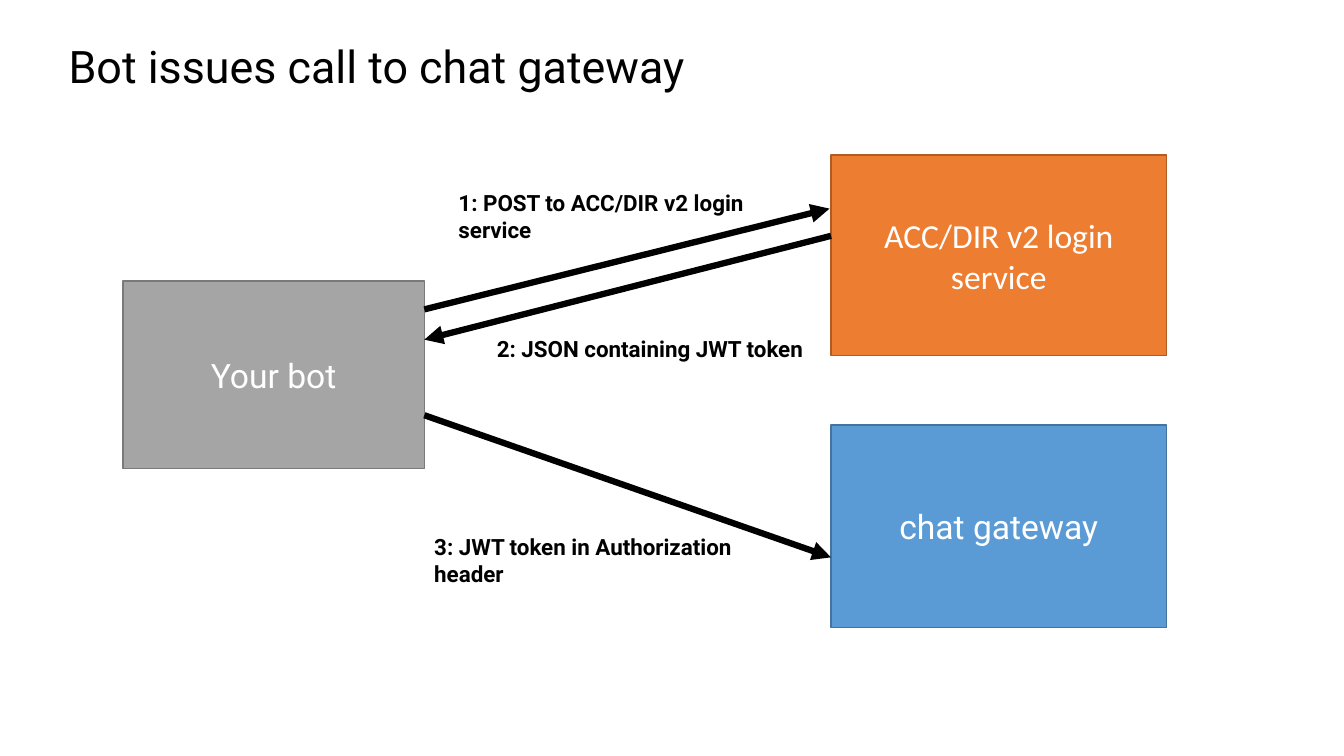
from pptx import Presentation, util as u
from pptx.dml.color import RGBColor
from pptx.enum import shapes, text
from pptx.oxml.ns import qn
from lxml import etree

BLACK = RGBColor(0x00, 0x00, 0x00)
WHITE = RGBColor(0xFF, 0xFF, 0xFF)
GREY, GREY_EDGE = RGBColor(0xA5, 0xA5, 0xA5), RGBColor(0x7A, 0x7A, 0x7A)
ORANGE, ORANGE_EDGE = RGBColor(0xED, 0x7D, 0x31), RGBColor(0xAF, 0x5C, 0x24)
BLUE, BLUE_EDGE = RGBColor(0x5B, 0x9B, 0xD5), RGBColor(0x43, 0x73, 0x9E)

# Boxes as percentages (left, top, width, height) of the slide
TITLE_BOX = (4.35, 1.73, 86.27, 14.8)
DIAGRAM_BOX = (9.15, 20.53, 77.7, 62.53)

# Diagram edges, as percentages of the diagram's width
BOT_RIGHT = 28.86
SERVICES_LEFT, SERVICES_WIDTH = 67.8, 32.14

PARTIES = [  # caption, font, fill, edge, box
    ("Your bot", "Roboto", GREY, GREY_EDGE, (0, 26.65, BOT_RIGHT, 39.66)),
    ("ACC/DIR v2 login service", "Calibri", ORANGE, ORANGE_EDGE,
     (SERVICES_LEFT, 0, SERVICES_WIDTH, 42.43)),
    ("chat gateway", "Roboto", BLUE, BLUE_EDGE,
     (SERVICES_LEFT, 57.1, SERVICES_WIDTH, 42.86)),
]
CALLS = [  # start x, start y, end x, end y
    (BOT_RIGHT, 32.62, 67.66, 11.3),
    (SERVICES_LEFT, 17.06, BOT_RIGHT, 39.02),
    (BOT_RIGHT, 55.01, SERVICES_LEFT, 85.07),
]
STEPS = [  # caption, wraps, box
    ("1: POST to ACC/DIR v2 login service", True, (31.18, 6.18, 33.01, 13.65)),
    ("2: JSON containing JWT token", False, (34.85, 37, 32.82, 7.89)),
    ("3: JWT token in Authorization header", True, (BOT_RIGHT, 78.89, 32.72, 13.65)),
]


def within(outer, share):
    """Turn a percentage box into lengths inside the outer box."""
    left, top, width, height = outer
    x, y, w, h = share
    return (round(left + width * x / 100), round(top + height * y / 100),
            round(width * w / 100), round(height * h / 100))


def write(frame, caption, font, size, color, align, bold=False):
    frame.text = caption
    paragraph = frame.paragraphs[0]
    paragraph.alignment = align
    paragraph.font.name = font
    paragraph.font.size = u.Pt(size)
    paragraph.font.color.rgb = color
    paragraph.font.bold = bold
    return paragraph


def add_title(slide, box):
    title = slide.shapes.title
    title.left, title.top, title.width, title.height = box
    frame = title.text_frame
    frame.auto_size = text.MSO_AUTO_SIZE.NONE
    frame.vertical_anchor = text.MSO_ANCHOR.MIDDLE
    heading = write(frame, "Bot issues call to chat gateway", "Roboto", 32,
                    BLACK, text.PP_ALIGN.LEFT)
    heading.line_spacing = 0.9


def add_party(slide, box, caption, font, fill, edge):
    party = slide.shapes.add_shape(shapes.MSO_SHAPE.RECTANGLE, *box)
    party.shadow.inherit = False
    party.fill.solid()
    party.fill.fore_color.rgb = fill
    party.line.color.rgb = edge
    party.line.width = u.Pt(1)
    party.text_frame.word_wrap = True
    party.text_frame.vertical_anchor = text.MSO_ANCHOR.MIDDLE
    write(party.text_frame, caption, font, 24, WHITE, text.PP_ALIGN.CENTER)


def add_call(slide, start, end):
    call = slide.shapes.add_connector(shapes.MSO_CONNECTOR.STRAIGHT, *start, *end)
    call.line.color.rgb = BLACK
    call.line.width = u.Pt(4.5)
    # Arrowhead at the end, no theme shadow
    line_xml = call._element.spPr.find(qn("a:ln"))
    etree.SubElement(line_xml, qn("a:tailEnd"), type="triangle")
    etree.SubElement(call._element.spPr, qn("a:effectLst"))


def add_step(slide, box, caption, wraps):
    frame = slide.shapes.add_textbox(*box).text_frame
    frame.word_wrap = wraps
    frame.auto_size = text.MSO_AUTO_SIZE.SHAPE_TO_FIT_TEXT
    write(frame, caption, "Roboto", 16, BLACK, text.PP_ALIGN.LEFT, bold=True)


def add_diagram(slide, box):
    for caption, font, fill, edge, share in PARTIES:
        add_party(slide, within(box, share), caption, font, fill, edge)
    for x1, y1, x2, y2 in CALLS:
        start = within(box, (x1, y1, 0, 0))[:2]
        end = within(box, (x2, y2, 0, 0))[:2]
        add_call(slide, start, end)
    for caption, wraps, share in STEPS:
        add_step(slide, within(box, share), caption, wraps)


deck = Presentation()
deck.slide_width, deck.slide_height = u.Inches(13.33), u.Inches(7.5)
page = (0, 0, deck.slide_width, deck.slide_height)
call_slide = deck.slides.add_slide(deck.slide_layouts[5])  # Title Only
add_title(call_slide, within(page, TITLE_BOX))
add_diagram(call_slide, within(page, DIAGRAM_BOX))
deck.save("out.pptx")
